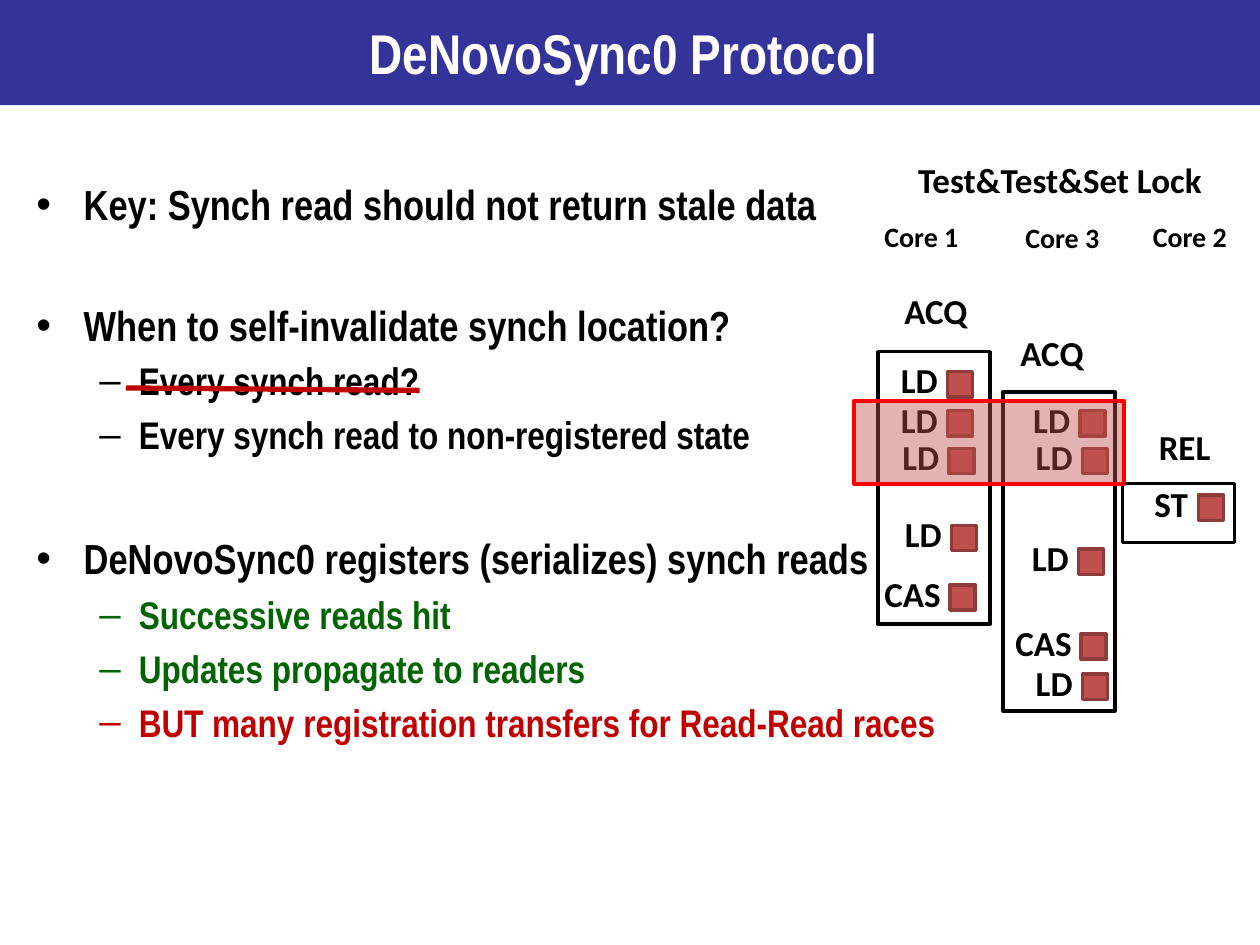
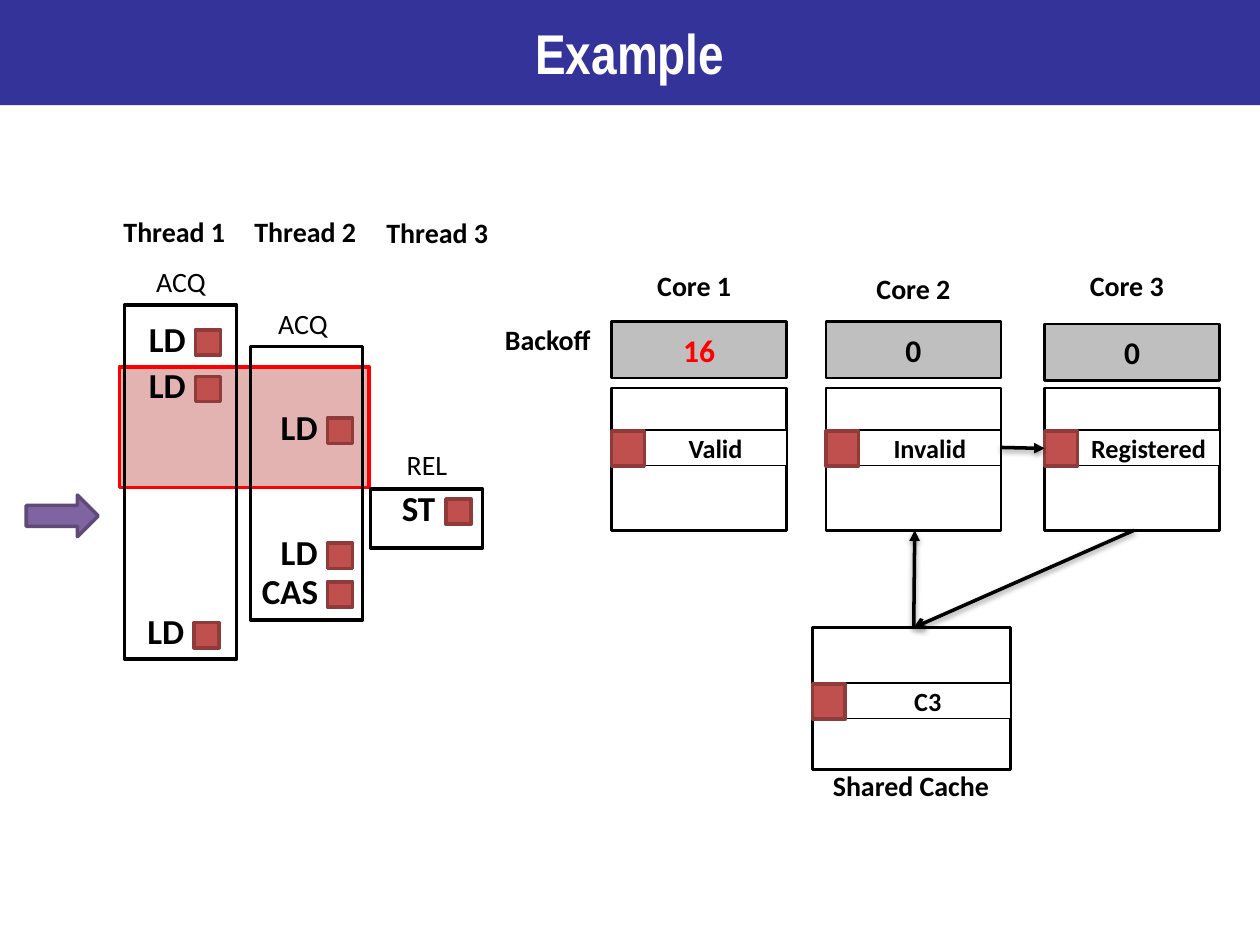
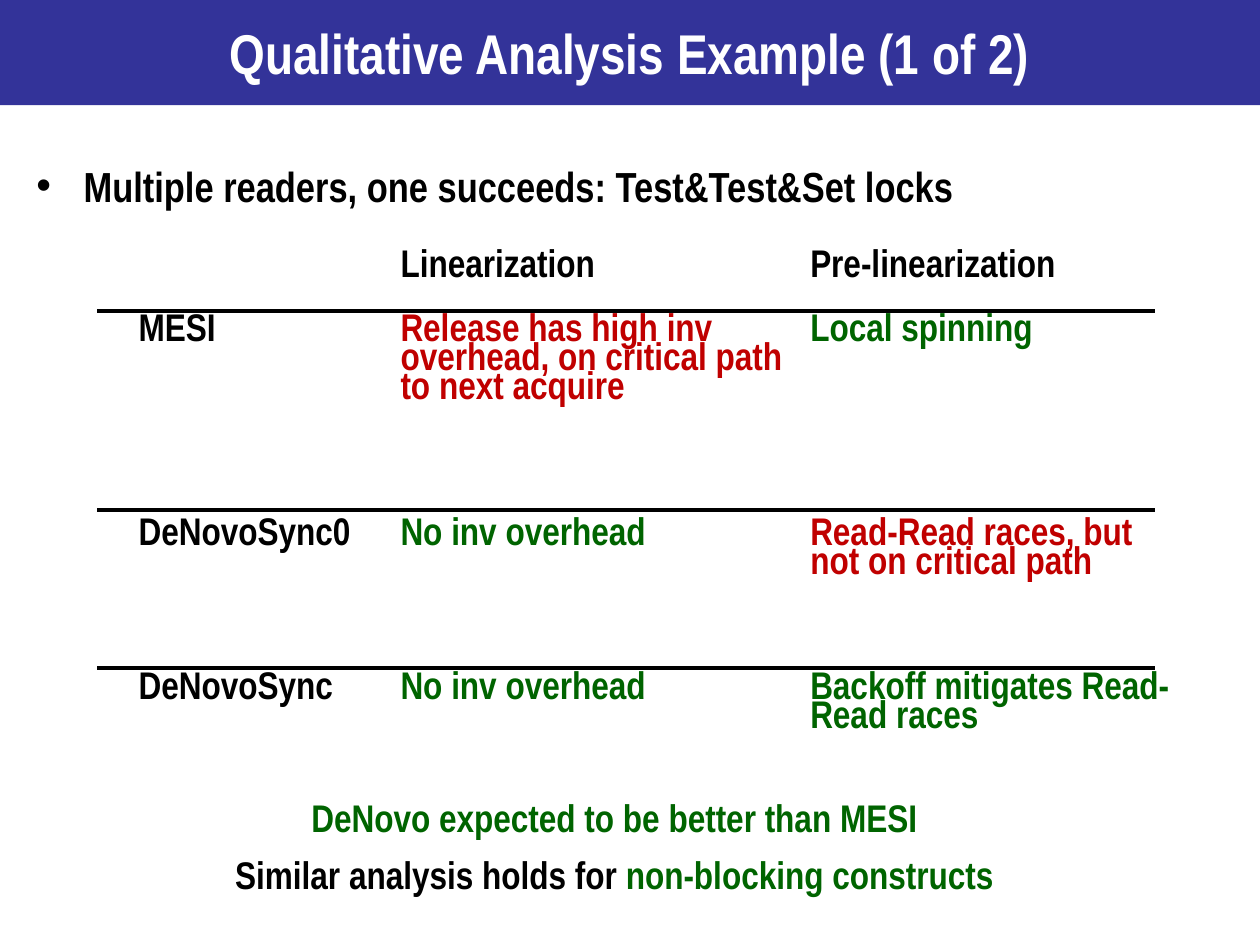
from pptx import Presentation
from pptx.dml.color import RGBColor
from pptx.enum.shapes import MSO_CONNECTOR, MSO_SHAPE
from pptx.enum.text import MSO_ANCHOR, MSO_AUTO_SIZE, PP_ALIGN
from pptx.oxml.ns import qn
from pptx.util import Cm, Pt
from lxml import etree

RECTANGLE = MSO_SHAPE.RECTANGLE
RIGHT_ARROW = MSO_SHAPE.RIGHT_ARROW
STRAIGHT = MSO_CONNECTOR.STRAIGHT
MIDDLE = MSO_ANCHOR.MIDDLE
TOP = MSO_ANCHOR.TOP
FIXED_SIZE = MSO_AUTO_SIZE.NONE
CENTER = PP_ALIGN.CENTER
LEFT = PP_ALIGN.LEFT

NAVY = RGBColor(0x33, 0x33, 0x99)
WHITE = RGBColor(0xFF, 0xFF, 0xFF)
BLACK = RGBColor(0x00, 0x00, 0x00)
GREEN = RGBColor(0x00, 0x64, 0x00)
DARK_RED = RGBColor(0xC0, 0x00, 0x00)
RED = RGBColor(0xFF, 0x00, 0x00)
BRICK = RGBColor(0xC0, 0x50, 0x4D)
BRICK_EDGE = RGBColor(0x8E, 0x3B, 0x39)
GREY = RGBColor(0xBF, 0xBF, 0xBF)
PURPLE = RGBColor(0x80, 0x64, 0xA2)
PURPLE_EDGE = RGBColor(0x5F, 0x4A, 0x78)

HEADING_FONT = "Arial Narrow"
DIAGRAM_FONT = "Calibri"
SLIDE_WIDTH, SLIDE_HEIGHT, BAND_HEIGHT = 25.4, 19.05, 2.12
CONTENT_LAYOUT, TITLE_ONLY_LAYOUT = 1, 5
THREAD_WIDTH = 2.26
LOCATION_SIZE = 0.51
ACCESS_WIDTHS = {"LD": 1.27, "ST": 1.22, "CAS": 1.65}
CACHE_HEIGHT, LINE_HEIGHT, TAG_WIDTH = 2.87, 0.71, 0.66
CORE_WIDTH = 3.53


def format_runs(paragraph, size, color=BLACK, font=DIAGRAM_FONT, bold=True):
    """Give every run of a paragraph the same look."""
    for run in paragraph.runs:
        run.font.name = font
        run.font.size = Pt(size)
        run.font.bold = bold
        run.font.color.rgb = color


def place(shape, left, top, width, height):
    """Move and size a shape, in centimetres."""
    shape.left, shape.top = Cm(left), Cm(top)
    shape.width, shape.height = Cm(width), Cm(height)


def add_titled_slide(prs, layout, title):
    """Add a slide with its title in the blue band."""
    slide = prs.slides.add_slide(prs.slide_layouts[layout])
    band = slide.shapes.title
    place(band, 0, 0, SLIDE_WIDTH, BAND_HEIGHT)
    band.fill.solid()
    band.fill.fore_color.rgb = NAVY
    frame = band.text_frame
    frame.text = title
    frame.auto_size = FIXED_SIZE
    frame.vertical_anchor = MIDDLE
    frame.paragraphs[0].alignment = CENTER
    format_runs(frame.paragraphs[0], 32, WHITE, HEADING_FONT)
    return slide


def fill_body(slide, box, points):
    """Fill the body with (text, level, colour, space before) points."""
    body = slide.placeholders[1]
    place(body, *box)
    frame = body.text_frame
    frame.text = "\n".join(point[0] for point in points)
    frame.auto_size = FIXED_SIZE
    frame.vertical_anchor = TOP
    for paragraph, (_, level, color, gap) in zip(frame.paragraphs, points):
        paragraph.level = level
        if gap is not None:
            paragraph.space_before = Pt(gap)
        format_runs(paragraph, 22 if level else 24, color, HEADING_FONT)


def add_box(slide, box, fill=None, edge=BLACK, weight=2.0, kind=RECTANGLE):
    """Add a flat outlined shape, hollow when no fill is given."""
    shape = slide.shapes.add_shape(kind, *(Cm(length) for length in box))
    shape.shadow.inherit = False
    if fill is None:
        shape.fill.background()
    else:
        shape.fill.solid()
        shape.fill.fore_color.rgb = fill
    shape.line.color.rgb = edge
    shape.line.width = Pt(weight)
    return shape


def add_value_box(slide, box, text, fill, weight, size, color=BLACK):
    """Add a box with a centred value."""
    frame = add_box(slide, box, fill, weight=weight).text_frame
    frame.text = text
    frame.word_wrap = False
    frame.vertical_anchor = MIDDLE
    frame.paragraphs[0].alignment = CENTER
    format_runs(frame.paragraphs[0], size, color)


def add_label(slide, text, left, top, width, size=20, bold=True):
    """Add a one-line label."""
    label = slide.shapes.add_textbox(Cm(left), Cm(top), Cm(width), Cm(size * 0.056))
    frame = label.text_frame
    frame.text = text
    frame.word_wrap = False
    format_runs(frame.paragraphs[0], size, bold=bold)


def add_caption(slide, text, left, top, width):
    """Add a tightly spaced diagram caption."""
    caption = slide.shapes.add_textbox(Cm(left), Cm(top), Cm(width), Cm(0.66))
    frame = caption.text_frame
    frame.text = text
    frame.word_wrap = True
    frame.paragraphs[0].line_spacing = 0.5
    format_runs(frame.paragraphs[0], 16)


def add_access(slide, operation, left, top):
    """Add a memory location with its operation to the left."""
    width = ACCESS_WIDTHS[operation]
    add_label(slide, operation, left + 0.08 - width, top - 0.38, width)
    add_box(slide, (left, top, LOCATION_SIZE, LOCATION_SIZE), BRICK, BRICK_EDGE)


def add_race_zone(slide, box):
    """Mark the racing reads with a translucent red zone."""
    zone = add_box(slide, box, BRICK, RED, 2.25)
    color = zone.element.spPr.find(qn("a:solidFill")).find(qn("a:srgbClr"))
    etree.SubElement(color, qn("a:alpha"), val="43000")


def add_line(slide, start, end, color=BLACK, weight=2.25, head=None):
    """Add a flat rule, or a shadowed arrow when a head is named."""
    line = slide.shapes.add_connector(STRAIGHT, *(Cm(length) for length in start + end))
    line.line.color.rgb = color
    line.line.width = Pt(weight)
    properties = line.element.spPr
    if head:
        etree.SubElement(properties.find(qn("a:ln")), qn("a:tailEnd"), type=head)
    else:
        etree.SubElement(properties, qn("a:effectLst"))


def add_cache(slide, left, top, width, line_offset, state):
    """Add a cache holding one tagged line and its state."""
    add_box(slide, (left, top, width, CACHE_HEIGHT), weight=1.5)
    line_top = top + line_offset
    state_box = (left + TAG_WIDTH, line_top - 0.02, width - TAG_WIDTH, LINE_HEIGHT)
    add_value_box(slide, state_box, state, WHITE, 0.75, 15)
    add_box(slide, (left, line_top, TAG_WIDTH, LINE_HEIGHT), BRICK, BRICK_EDGE)


def add_comparison(slide, left, top, widths, heights, rows):
    """Add a plain table of (text, colour) cells."""
    table = slide.shapes.add_table(
        len(rows), len(widths), Cm(left), Cm(top), Cm(sum(widths)), Cm(sum(heights))
    ).table
    for column, width in zip(table.columns, widths):
        column.width = Cm(width)
    for row, height, entries in zip(table.rows, heights, rows):
        row.height = Cm(height)
        for cell, (text, color) in zip(row.cells, entries):
            cell.fill.background()
            cell.text = text
            paragraph = cell.text_frame.paragraphs[0]
            paragraph.alignment = LEFT
            paragraph.line_spacing = 0.8
            format_runs(paragraph, 22, color, HEADING_FONT)


def build_protocol(prs):
    """Build the protocol slide with the lock timeline."""
    slide = add_titled_slide(prs, CONTENT_LAYOUT, "DeNovoSync0 Protocol ")
    fill_body(slide, (0.48, 3.48, 20.07, 12.6), [
        ("Key: Synch read should not return stale data", 0, BLACK, 0),
        ("When to self-invalidate synch location?", 0, BLACK, 40),
        ("Every synch read?", 1, BLACK, None),
        ("Every synch read to non-registered state", 1, BLACK, None),
        ("DeNovoSync0 registers (serializes) synch reads", 0, BLACK, 43),
        ("Successive reads hit", 1, GREEN, None),
        ("Updates propagate to readers", 1, GREEN, None),
        ("BUT many registration transfers for Read-Read races", 1, DARK_RED, None),
    ])
    for left, top, height in ((22.63, 9.75, 1.19), (17.7, 7.09, 5.49), (20.22, 7.9, 6.43)):
        add_box(slide, (left, top, THREAD_WIDTH, height), WHITE)
    add_label(slide, "Test&Test&Set Lock", 18.26, 3.07, 6.3)
    for core, left, top, width in (
        ("Core 1", 17.58, 4.6, 2.36),
        ("Core 3", 20.42, 4.62, 2.08),
        ("Core 2", 22.99, 4.6, 2.41),
    ):
        add_caption(slide, core, left, top, width)
    for phase, left, top, width in (
        ("ACQ", 17.98, 5.72, 1.8),
        ("ACQ", 20.32, 6.55, 1.8),
        ("REL", 23.11, 8.46, 1.57),
    ):
        add_label(slide, phase, left, top, width)
    for operation, left, top in (
        ("LD", 19.1, 7.49), ("LD", 19.1, 8.28), ("LD", 19.13, 9.04),
        ("LD", 19.18, 10.59), ("CAS", 19.15, 11.79),
        ("LD", 21.77, 8.28), ("LD", 21.82, 9.04), ("LD", 21.74, 11.07),
        ("CAS", 21.79, 12.78), ("LD", 21.82, 13.59),
        ("ST", 24.16, 9.98),
    ):
        add_access(slide, operation, left, top)
    add_race_zone(slide, (17.22, 8.08, 5.44, 1.68))
    add_line(slide, (2.54, 7.82), (8.46, 7.87), DARK_RED, 3)


def build_example(prs):
    """Build the example slide with threads and caches."""
    slide = add_titled_slide(prs, TITLE_ONLY_LAYOUT, "Example")
    add_race_zone(slide, (2.41, 7.39, 5.03, 2.44))
    for left, top, height, fill in (
        (7.47, 9.86, 1.19, WHITE), (2.51, 6.15, 7.14, None), (5.05, 6.99, 5.51, None),
    ):
        add_box(slide, (left, top, THREAD_WIDTH, height), fill)
    for phase, left, top, width in (
        ("ACQ", 2.9, 5.21, 1.55), ("ACQ", 5.36, 6.05, 1.55), ("REL", 7.95, 8.89, 1.35),
    ):
        add_label(slide, phase, left, top, width, 16, False)
    for operation, left, top in (
        ("LD", 3.94, 6.65), ("LD", 3.94, 7.59), ("LD", 3.91, 12.55),
        ("LD", 6.6, 8.43), ("LD", 6.6, 10.95), ("CAS", 6.6, 11.73),
        ("ST", 8.99, 10.06),
    ):
        add_access(slide, operation, left, top)
    add_box(slide, (0.53, 9.98, 1.45, 0.84), PURPLE, PURPLE_EDGE, kind=RIGHT_ARROW)
    for text, left, top, width in (
        ("Thread 1", 2.24, 4.5, 3.05),
        ("Thread 2", 4.88, 4.5, 2.67),
        ("Thread 3", 7.54, 4.52, 2.62),
        ("Core 1", 13, 5.59, 2.36),
        ("Core 2", 17.42, 5.64, 2.08),
        ("Core 3", 21.72, 5.59, 2.41),
        ("Backoff", 9.93, 6.68, 2.36),
        ("Shared Cache", 16.54, 15.67, 3.81),
    ):
        add_caption(slide, text, left, top, width)
    for left, backoff_top, backoff, color, state in (
        (12.33, 6.48, "16", RED, "Valid"),
        (16.65, 6.48, "0", BLACK, "Invalid"),
        (21.06, 6.53, "0", BLACK, "Registered"),
    ):
        backoff_box = (left, backoff_top, CORE_WIDTH, 1.14)
        add_value_box(slide, backoff_box, backoff, GREY, 1.5, 18, color)
        add_cache(slide, left, 7.82, CORE_WIDTH, 0.87, state)
    add_cache(slide, 16.38, 12.65, 3.99, 1.14, "C3")
    add_line(slide, (18.42, 12.65), (18.44, 10.69), weight=2, head="triangle")
    add_line(slide, (22.86, 10.69), (18.42, 12.65), weight=2, head="arrow")
    add_line(slide, (20.17, 9.02), (21.06, 9.04), weight=2, head="triangle")


def add_conclusion(slide):
    """Add the two centred closing lines."""
    conclusion = slide.shapes.add_textbox(Cm(2.54), Cm(15.88), Cm(19.69), Cm(2.36))
    frame = conclusion.text_frame
    frame.word_wrap = True
    frame.text = "DeNovo expected to be better than MESI"
    verdict, outlook = frame.paragraphs[0], frame.add_paragraph()
    for text in ("Similar analysis holds for ", "non-blocking constructs"):
        outlook.add_run().text = text
    outlook.space_before = Pt(6)
    for paragraph in (verdict, outlook):
        paragraph.alignment = CENTER
        format_runs(paragraph, 22, GREEN, HEADING_FONT)
    outlook.runs[0].font.color.rgb = BLACK


def build_analysis(prs):
    """Build the qualitative comparison slide."""
    slide = add_titled_slide(prs, CONTENT_LAYOUT, "Qualitative Analysis Example (1 of 2)")
    fill_body(slide, (0.48, 3.1, 24.9, 1.6), [
        ("Multiple readers, one succeeds: Test&Test&Set locks", 0, BLACK, 0),
    ])
    add_comparison(slide, 2.54, 5, (5.28, 8.26, 7.82), (1.3, 4.11, 3.1, 2.16), [
        [("", BLACK), ("Linearization", BLACK), ("Pre-linearization", BLACK)],
        [("MESI", BLACK),
         ("Release has high inv overhead, on critical path to next acquire", DARK_RED),
         ("Local spinning", GREEN)],
        [("DeNovoSync0", BLACK), ("No inv overhead", GREEN),
         ("Read-Read races, but not on critical path", DARK_RED)],
        [("DeNovoSync", BLACK), ("No inv overhead", GREEN),
         ("Backoff mitigates Read-Read races", GREEN)],
    ])
    for rule_top in (6.27, 10.29, 13.46):
        add_line(slide, (1.96, rule_top), (23.29, rule_top))
    add_conclusion(slide)


def main():
    """Build and save the presentation."""
    prs = Presentation()
    prs.slide_width, prs.slide_height = Cm(SLIDE_WIDTH), Cm(SLIDE_HEIGHT)
    build_protocol(prs)
    build_example(prs)
    build_analysis(prs)
    prs.save("out.pptx")


if __name__ == "__main__":
    main()
